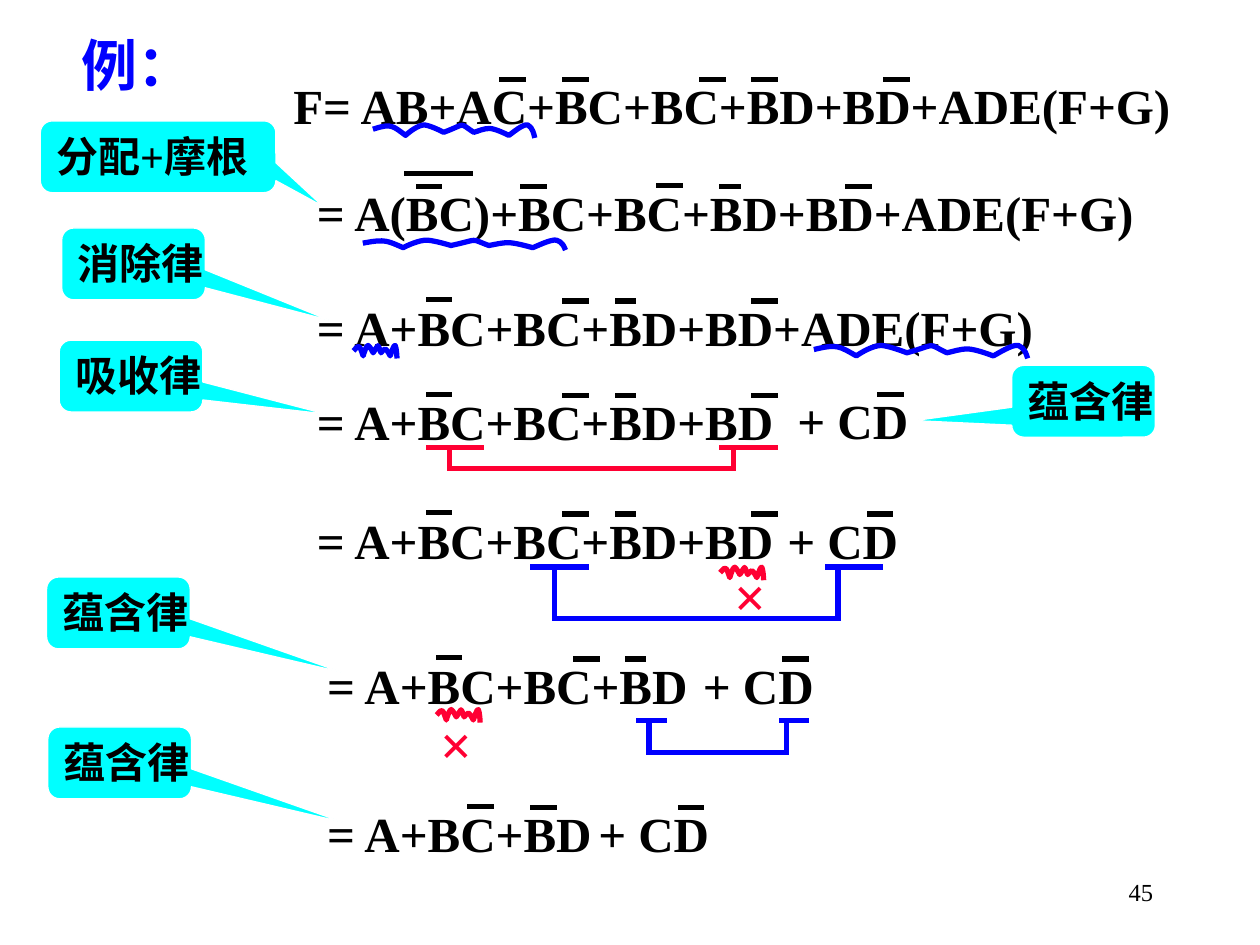
from dataclasses import dataclass

from lxml import etree
from pptx import Presentation
from pptx.dml.color import RGBColor
from pptx.enum.shapes import MSO_CONNECTOR, MSO_SHAPE
from pptx.enum.text import MSO_ANCHOR, MSO_AUTO_SIZE, PP_ALIGN
from pptx.oxml.ns import qn
from pptx.util import Cm, Pt

STRAIGHT = MSO_CONNECTOR.STRAIGHT
CALLOUT = MSO_SHAPE.ROUNDED_RECTANGULAR_CALLOUT
FIT_TEXT = MSO_AUTO_SIZE.SHAPE_TO_FIT_TEXT
TOP, MIDDLE = MSO_ANCHOR.TOP, MSO_ANCHOR.MIDDLE
LEFT, RIGHT = PP_ALIGN.LEFT, PP_ALIGN.RIGHT

COLORS = {"ink": "000000", "blue": "0000FF", "red": "FF0033",
          "cyan": "00FFFF", "white": "FFFFFF"}
FONT = "Times New Roman"
CM_PER_INCH = 2.54
STROKE = Pt(3)

WAVE_SIZE = 100
WAVE_START = (0, 45)
WAVE_CURVES = [
    ((10, 9), (11, 27), (19, 95)),
    ((21, 73), (27, 18), (31, 20)),
    ((35, 25), (43, 73), (43, 73)),
    ((58, 9), (52, 0), (62, 73)),
    ((65, 64), (68, 45), (72, 45)),
    ((76, 47), (84, 95), (84, 95)),
    ((86, 82), (93, 9), (96, 20)),
    ((99, 36), (100, 95), (100, 95)),
]


@dataclass
class Bar:
    left: float
    drop: float = 0.08
    width: float = 0.17


@dataclass
class Formula:
    text: str
    left: float
    top: float
    width: float
    bars: list[Bar]


@dataclass
class Bracket:
    tabs: tuple[float, float]
    legs: tuple[float, float]
    tab_width: float
    top: float
    bottom: float
    color: str


@dataclass
class Wave:
    left: float
    top: float
    width: float
    color: str
    height: float = 0.11


@dataclass
class Law:
    name: str
    left: float
    top: float
    tip: tuple[float, float]
    width: float = 1.14


STEPS = [
    [Formula("F= AB+AC+BC+BC+BD+BD+ADE(F+G)", 2.23, 0.55, 7.25,
             [Bar(3.98), Bar(4.48), Bar(5.57), Bar(5.98), Bar(7.03)])],
    [Formula(" = A(BC)+BC+BC+BD+BD+ADE(F+G)", 2.32, 1.4, 7.25,
             [Bar(3.23, -0.02, 0.5), Bar(3.32), Bar(4.15), Bar(5.23, 0.07),
              Bar(5.73, width=0.13), Bar(6.73)])],
    [Formula(" = A+BC+BC+BD+BD+ADE(F+G)", 2.32, 2.31, 6.08,
             [Bar(3.4, 0.07), Bar(4.48), Bar(4.9, width=0.13), Bar(5.98)])],
    [Formula(" = A+BC+BC+BD+BD", 2.32, 3.06, 6.08,
             [Bar(3.4, 0.07), Bar(4.48), Bar(4.9, width=0.13), Bar(5.98)])],
    [Formula("+ CD", 6.23, 3.05, 1.25, [Bar(6.98)])],
    [Formula(" = A+BC+BC+BD+BD", 2.32, 4, 4.08,
             [Bar(3.4, 0.07), Bar(4.48), Bar(4.9, width=0.13), Bar(5.98)]),
     Formula("+ CD", 6.15, 4, 1.25, [Bar(6.9)])],
    [Formula(" = A+BC+BC+BD", 2.4, 5.15, 3.42,
             [Bar(3.48, 0.07), Bar(4.57), Bar(4.98, width=0.13)]),
     Formula("+ CD", 5.48, 5.15, 1.25, [Bar(6.23)])],
    [Formula(" = A+BC+BD", 2.4, 6.33, 3.42, [Bar(3.73, 0.07), Bar(4.23)]),
     Formula("+ CD", 4.65, 6.33, 1.25, [Bar(5.4)])],
]
BRACKETS = [
    Bracket((4.23, 6.57), (4.4, 6.65), 0.42, 4.5, 4.91, "blue"),
    Bracket((3.4, 5.73), (3.57, 5.82), 0.42, 3.55, 3.72, "red"),
    Bracket((5.07, 6.2), (5.15, 6.24), 0.2, 5.72, 5.97, "blue"),
]
WAVES = [
    Wave(2.98, 0.97, 1.26, "blue"),
    Wave(2.9, 1.89, 1.58, "blue", 0.08),
    Wave(2.82, 2.72, 0.33, "blue"),
    Wave(6.48, 2.72, 1.67, "blue"),
    Wave(5.73, 4.48, 0.33, "red"),
    Wave(3.48, 5.61, 0.33, "red"),
]
LAWS = [
    Law("分配+摩根", 0.32, 0.96, (0.7, 0.69), 1.87),
    Law("消除律", 0.49, 1.81, (1.37, 0.79)),
    Law("吸收律", 0.47, 2.7, (1.36, 0.53)),
    Law("蕴含律", 8.03, 2.9, (-1.18, 0.27)),
    Law("蕴含律", 0.37, 4.58, (1.56, 0.83)),
    Law("蕴含律", 0.38, 5.77, (1.56, 0.83)),
]
CROSSES = [(5.73, 4.41), (3.4, 5.58)]


def length(inches: float) -> Cm:
    return Cm(inches * CM_PER_INCH)


def rgb(color: str) -> RGBColor:
    return RGBColor.from_string(COLORS[color])


def write(frame, text: str, size: int, color="ink", bold=True, align=LEFT) -> None:
    paragraph = frame.paragraphs[0]
    paragraph.text = text
    paragraph.alignment = align
    font = paragraph.font
    font.name, font.size, font.bold = FONT, Pt(size), bold
    font.color.rgb = rgb(color)


def add_label(shapes, text: str, left: float, top: float, width: float,
              height: float, size: int, color="ink") -> None:
    frame = shapes.add_textbox(*map(length, (left, top, width, height))).text_frame
    frame.word_wrap = True
    frame.auto_size = FIT_TEXT
    write(frame, text, size, color)


def draw_stroke(mark, color: str) -> None:
    mark.line.color.rgb = rgb(color)
    mark.line.width = STROKE
    mark.element.spPr.find(qn("a:ln")).set("cap", "sq")


def add_line(shapes, x1: float, y1: float, x2: float, y2: float, color: str) -> None:
    line = shapes.add_connector(STRAIGHT, *map(length, (x1, y1, x2, y2)))
    draw_stroke(line, color)
    etree.SubElement(line.element.spPr, qn("a:effectLst"))


def add_step(slide, formulas: list[Formula]) -> None:
    shapes = slide.shapes.add_group_shape().shapes
    for formula in formulas:
        add_label(shapes, formula.text, formula.left, formula.top, formula.width, 0.57, 28)
        for bar in formula.bars:
            y = formula.top + bar.drop
            add_line(shapes, bar.left, y, bar.left + bar.width, y, "ink")


def add_bracket(slide, bracket: Bracket) -> None:
    shapes = slide.shapes.add_group_shape().shapes
    top, bottom, color = bracket.top, bracket.bottom, bracket.color
    for tab, leg in zip(bracket.tabs, bracket.legs):
        add_line(shapes, tab, top, tab + bracket.tab_width, top, color)
        add_line(shapes, leg, top, leg, bottom, color)
    start, end = bracket.legs
    add_line(shapes, start, bottom, end, bottom, color)


def add_segment(outline, tag: str, points) -> None:
    segment = etree.SubElement(outline, qn(tag))
    for x, y in points:
        etree.SubElement(segment, qn("a:pt"), x=str(x), y=str(y))


def add_wave(slide, wave: Wave) -> None:
    left, top = length(wave.left), length(wave.top)
    right, bottom = length(wave.left + wave.width), length(wave.top + wave.height)
    builder = slide.shapes.build_freeform(left, top)
    builder.add_line_segments([(right, bottom)], close=False)
    squiggle = builder.convert_to_shape()
    outline = next(squiggle.element.iter(qn("a:path")))
    for segment in list(outline):
        outline.remove(segment)
    outline.set("w", str(WAVE_SIZE))
    outline.set("h", str(WAVE_SIZE))
    add_segment(outline, "a:moveTo", [WAVE_START])
    for curve in WAVE_CURVES:
        add_segment(outline, "a:cubicBezTo", curve)
    squiggle.shadow.inherit = False
    squiggle.fill.background()
    draw_stroke(squiggle, wave.color)


def add_law(slide, law: Law) -> None:
    callout = slide.shapes.add_shape(
        CALLOUT, *map(length, (law.left, law.top, law.width, 0.57)))
    callout.shadow.inherit = False
    callout.adjustments[0], callout.adjustments[1] = law.tip
    callout.fill.solid()
    callout.fill.fore_color.rgb = rgb("cyan")
    callout.line.color.rgb = rgb("white")
    callout.line.width = Pt(0.75)
    callout.text_frame.word_wrap = False
    callout.text_frame.vertical_anchor = TOP
    write(callout.text_frame, law.name, 24)


def main() -> None:
    deck = Presentation()
    deck.slide_width, deck.slide_height = length(10), length(7.5)
    slide = deck.slides.add_slide(deck.slide_layouts[6])
    for left, top in CROSSES:
        add_label(slide.shapes, "×", left, top, 0.58, 0.63, 32, "red")
    for formulas in STEPS:
        add_step(slide, formulas)
    for bracket in BRACKETS:
        add_bracket(slide, bracket)
    for wave in WAVES:
        add_wave(slide, wave)
    add_label(slide.shapes, "例：", 0.55, 0.19, 1.02, 0.64, 32, "blue")
    for law in LAWS:
        add_law(slide, law)
    page_number = slide.shapes.add_textbox(*map(length, (7.17, 6.83, 2.08, 0.5))).text_frame
    page_number.word_wrap = True
    page_number.vertical_anchor = MIDDLE
    write(page_number, "45", 14, bold=False, align=RIGHT)
    deck.save("out.pptx")


if __name__ == "__main__":
    main()
